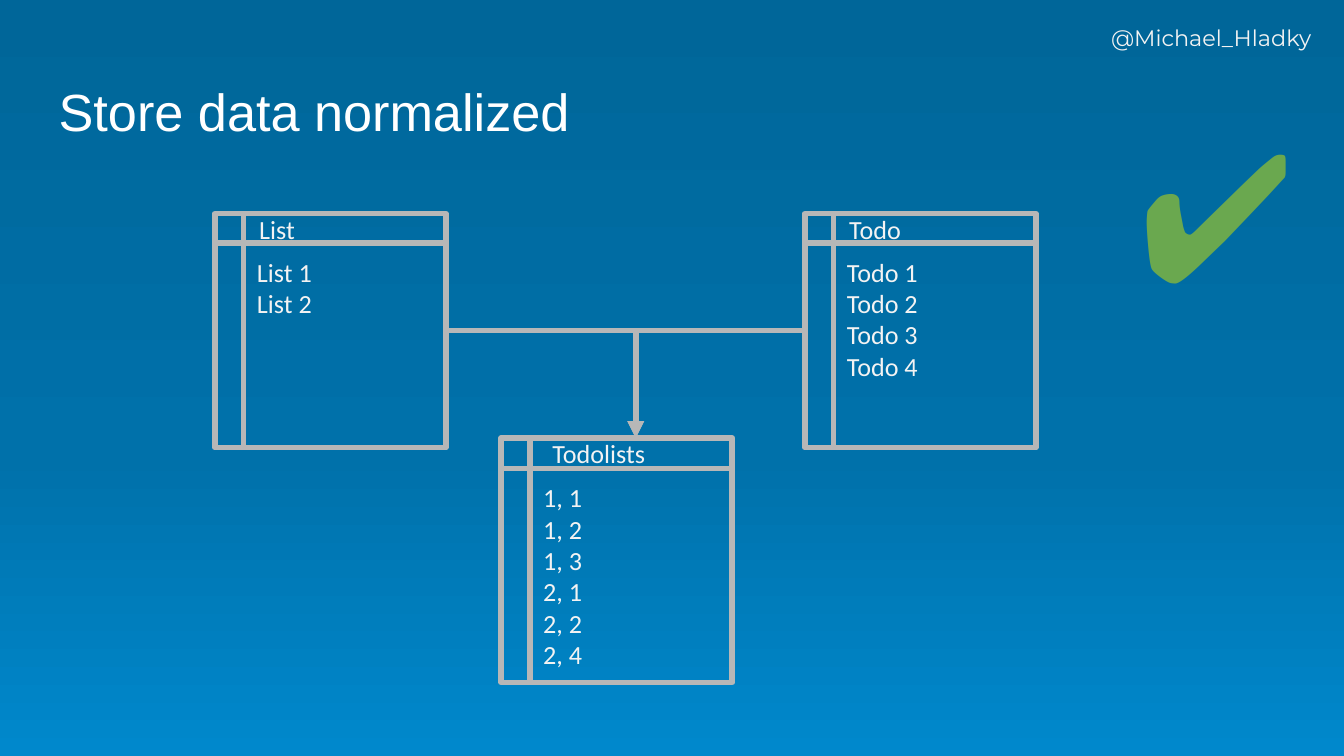
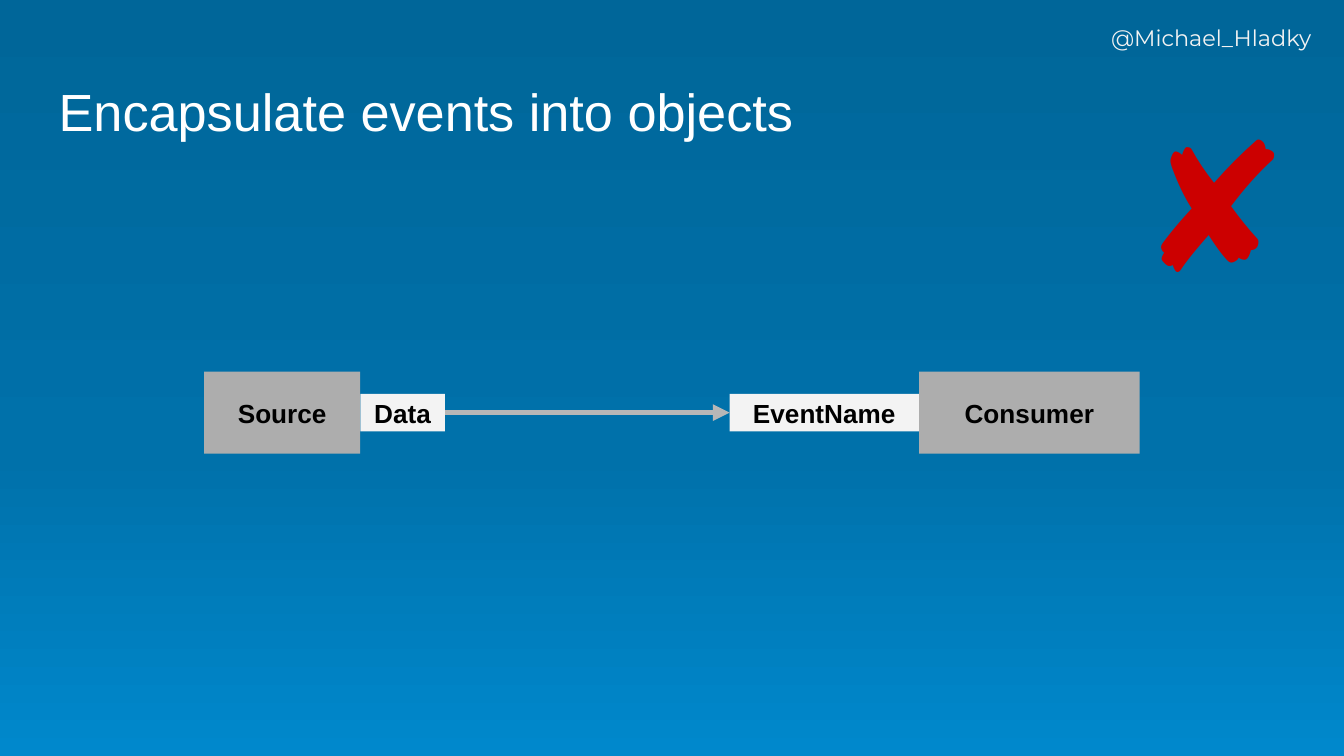
from copy import deepcopy
from dataclasses import dataclass

from lxml.etree import SubElement
from pptx import Presentation
from pptx.dml.color import RGBColor as RGB
from pptx.enum.shapes import MSO_CONNECTOR as LINK, MSO_SHAPE as SHAPE
from pptx.enum.text import MSO_ANCHOR as ANCHOR, MSO_AUTO_SIZE as AUTO, PP_ALIGN as ALIGN
from pptx.oxml.ns import qn
from pptx.util import Cm, Pt


# Theme: colours, fonts and sizes
@dataclass(frozen=True)
class Theme:
    gradient: tuple = ((0, "006699"), (0.6, "0071AA"), (1, "0088CC"))
    white: str = "FFFFFF"
    black: str = "000000"
    pale: str = "F3F3F3"
    line: str = "B7B7B7"
    node: str = "ADADAD"
    good: str = "6AA84F"
    bad: str = "CC0000"
    title_font: str = "Arial"
    body_font: str = "Calibri"
    handle_font: str = "Montserrat"
    title_size: int = 28
    body_size: int = 14
    handle_size: int = 12
    mark_size: int = 96
    line_width: int = 3


T = Theme()


# Repeated elements, lengths in centimetres
@dataclass(frozen=True)
class Box:
    left: float
    top: float
    width: float
    height: float

    def emu(self) -> tuple:
        return Cm(self.left), Cm(self.top), Cm(self.width), Cm(self.height)


@dataclass(frozen=True)
class Entity:
    name: str
    rows: tuple
    box: Box
    name_indent: float = 0.59


@dataclass(frozen=True)
class Node:
    text: str
    left: float
    width: float
    height: float
    fill: str


TITLE_BOX = Box(0.86, 1.24, 23.67, 1.6)
HANDLE_BOX = Box(20.75, 0.2, 4.32, 1.14)
NAME_HEIGHT = 0.57
FLOW_MIDDLE = 7.8

ENTITIES = (
    Entity("List", ("List 1", "List 2"), Box(4.06, 4.04, 4.37, 4.42)),
    Entity("Todo", ("Todo 1", "Todo 2", "Todo 3", "Todo 4"), Box(15.21, 4.04, 4.37, 4.42)),
    Entity("Todolists", ("1, 1", "1, 2", "1, 3", "2, 1", "2, 2", "2, 4"),
           Box(9.47, 8.28, 4.37, 4.62), 0.72),
)
NODES = (
    Node("Data", 6.81, 1.6, 0.71, T.pale),
    Node("EventName", 13.79, 3.58, 0.71, T.pale),
    Node("Source", 3.86, 2.95, 1.55, T.node),
    Node("Consumer", 17.37, 4.17, 1.55, T.node),
)


def write(sp, *lines: str, size: int = T.body_size, font: str = T.body_font,
          color: str = T.pale, bold: bool = False, align=ALIGN.LEFT, anchor=ANCHOR.TOP) -> None:
    """Fill a shape with one paragraph per line."""
    tf = sp.text_frame
    tf.word_wrap, tf.auto_size, tf.vertical_anchor = True, AUTO.NONE, anchor
    tf.margin_left = tf.margin_top = tf.margin_right = tf.margin_bottom = Cm(0.25)
    for i, line in enumerate(lines):
        p = tf.add_paragraph() if i else tf.paragraphs[0]
        p.alignment = align
        r = p.add_run()
        r.text = line
        r.font.size, r.font.name, r.font.bold = Pt(size), font, bold
        r.font.color.rgb = RGB.from_string(color)


def add_text(s, box: Box, text: str, **fmt):
    sp = s.shapes.add_textbox(*box.emu())
    write(sp, text, **fmt)
    return sp


def style_line(sp) -> None:
    sp.line.color.rgb = RGB.from_string(T.line)
    sp.line.width = Pt(T.line_width)
    SubElement(sp.line._get_or_add_ln(), qn("a:round"))


def add_arrow(s, start, start_side: int, end, end_side: int, bent: bool = False) -> None:
    """Join two shapes; a bent arrow runs sideways, then down."""
    cx = s.shapes.add_connector(LINK.ELBOW if bent else LINK.STRAIGHT, 0, 0, 0, 0)
    cx.begin_connect(start, start_side)
    cx.end_connect(end, end_side)
    sp_pr = cx._element.spPr
    if bent:
        sp_pr.find(qn("a:prstGeom")).set("prst", "bentConnector2")
    style_line(cx)
    SubElement(cx.line._get_or_add_ln(), qn("a:tailEnd"), type="triangle")
    SubElement(sp_pr, qn("a:effectLst"))


def add_entity(s, entity: Entity) -> tuple:
    """Draw a data table; return its frame and its name label."""
    box, indent = entity.box, entity.name_indent
    sp = s.shapes.add_shape(SHAPE.FLOWCHART_INTERNAL_STORAGE, *box.emu())
    sp.shadow.inherit = False
    sp.fill.background()
    style_line(sp)
    write(sp, *entity.rows)
    name_box = Box(box.left + indent, box.top, box.width - indent, NAME_HEIGHT)
    return sp, add_text(s, name_box, entity.name, anchor=ANCHOR.MIDDLE)


def add_node(s, node: Node):
    box = Box(node.left, FLOW_MIDDLE - node.height / 2, node.width, node.height)
    sp = s.shapes.add_shape(SHAPE.RECTANGLE, *box.emu())
    sp.shadow.inherit = False
    sp.fill.solid()
    sp.fill.fore_color.rgb = RGB.from_string(node.fill)
    sp.line.fill.background()
    write(sp, node.text, font=T.title_font, color=T.black, bold=True,
          align=ALIGN.CENTER, anchor=ANCHOR.MIDDLE)
    return sp


def set_background(master) -> None:
    fill = master.background.fill
    fill.gradient()
    fill.gradient_angle = 270
    stops = fill._fill._gradFill.gsLst
    stops.append(deepcopy(stops[-1]))
    for stop, (position, color) in zip(fill.gradient_stops, T.gradient):
        stop.position = position
        stop.color.rgb = RGB.from_string(color)


def add_slide(prs, title: str):
    """Add a slide with the shared handle and title."""
    s = prs.slides.add_slide(prs.slide_layouts[5])
    sp = s.shapes.title
    sp.left, sp.top, sp.width, sp.height = TITLE_BOX.emu()
    write(sp, title, size=T.title_size, font=T.title_font, color=T.white)
    add_text(s, HANDLE_BOX, "@Michael_Hladky", size=T.handle_size, font=T.handle_font)
    return s


def build_normalized(prs) -> None:
    s = add_slide(prs, "Store data normalized")
    (lists, _), (todos, _), (_, join_name) = [add_entity(s, e) for e in ENTITIES]
    add_arrow(s, lists, 3, join_name, 0, bent=True)
    add_arrow(s, todos, 1, join_name, 0, bent=True)
    add_text(s, Box(21.26, 2.16, 3.12, 3.61), "✔", size=T.mark_size,
             color=T.good, anchor=ANCHOR.MIDDLE)


def build_events(prs) -> None:
    s = add_slide(prs, "Encapsulate events into objects")
    data, event, *_ = [add_node(s, n) for n in NODES]
    add_arrow(s, data, 3, event, 1)
    add_text(s, Box(21.29, 2.34, 3.02, 2.92), "✘", size=T.mark_size,
             font=T.title_font, color=T.bad, anchor=ANCHOR.MIDDLE)


def main() -> None:
    prs = Presentation()
    prs.slide_width, prs.slide_height = Cm(25.4), Cm(14.29)
    set_background(prs.slide_master)
    build_normalized(prs)
    build_events(prs)
    prs.save("out.pptx")


if __name__ == "__main__":
    main()
